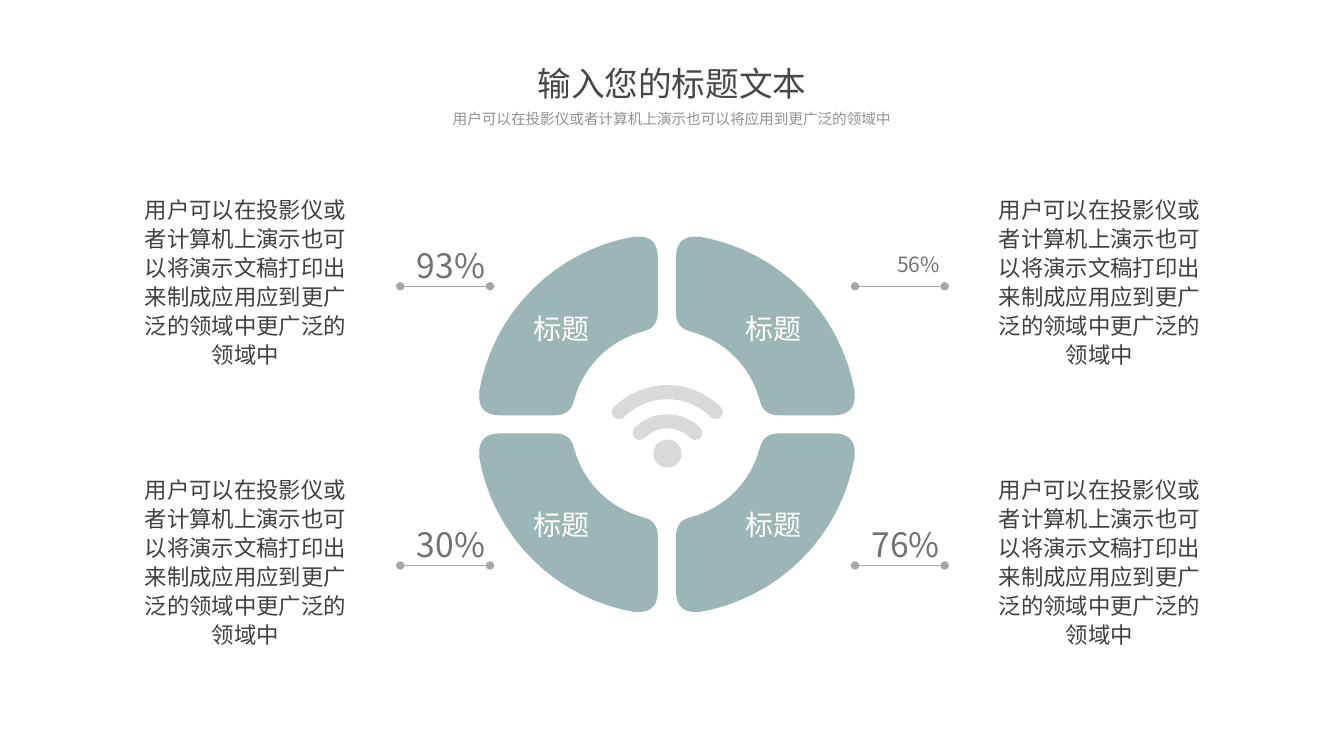
import math
import pptx
import pptx.util
import pptx.dml.color
import pptx.enum.text
import pptx.enum.shapes
import pptx.oxml
import pptx.oxml.ns
from pptx.util import Inches

FONT = "Noto Sans CJK SC"
TEAL, GREY, LINE = "9CB6B7", "D9D9D9", "A6A6A6"
TITLE = "输入您的标题文本"
SUBTITLE = "用户可以在投影仪或者计算机上演示也可以将应用到更广泛的领域中"
BODY = "用户可以在投影仪或者计算机上演示也可以将演示文稿打印出来制成应用应到更广泛的领域中更广泛的领域中"
LABEL = "标题"
ITEMS = [
    (0, 0, "93%", 24),
    (1, 0, "56%", 15),
    (0, 1, "30%", 24),
    (1, 1, "76%", 24),
]
BODY_X, BODY_Y = (1.23, 9.7), (1.88, 4.65)
PERCENT_X, PERCENT_Y = (3.92, 8.43), (2.43, 5.2)
LABEL_X, LABEL_Y = (5.19, 7.29), (3.01, 4.96)
RING_X, RING_Y = 6.615, 4.21
OUTER_R, INNER_R, HALF_GAP = 1.89, 0.95, 0.09
WIFI_X, WIFI_Y, WIFI_HALF = 6.62, 4.57, 0.07
ALIGN = pptx.enum.text.PP_ALIGN
ANCHOR = pptx.enum.text.MSO_ANCHOR


def rgb(value):
    return pptx.dml.color.RGBColor.from_string(value)


def write(sp, text, size, color, align=ALIGN.CENTER, anchor=ANCHOR.TOP,
          wrap=True, spacing=1.08, inset=(0.1, 0.05)):
    tf = sp.text_frame
    tf.word_wrap = wrap
    tf.vertical_anchor = anchor
    tf.margin_left = tf.margin_right = Inches(inset[0])
    tf.margin_top = tf.margin_bottom = Inches(inset[1])
    p = tf.paragraphs[0]
    p.alignment = align
    p.line_spacing = spacing
    r = p.add_run()
    r.text = text
    r.font.name = FONT
    r.font.size = pptx.util.Pt(size)
    r.font.color.rgb = rgb(color)
    ea = pptx.oxml.parse_xml(f'<a:ea {pptx.oxml.ns.nsdecls("a")} typeface="{FONT}"/>')
    r.font._element.find(pptx.oxml.ns.qn("a:latin")).addnext(ea)


def text_box(s, x, y, w, h, text, size, color, **fmt):
    sp = s.shapes.add_textbox(Inches(x), Inches(y), Inches(w), Inches(h))
    write(sp, text, size, color, **fmt)


def arc(cx, cy, radius, start, end, steps=16):
    angles = [math.radians(start + (end - start) * i / steps) for i in range(steps + 1)]
    return [(cx + radius * math.cos(a), cy + radius * math.sin(a)) for a in angles]


def curve(a, b, c, steps=8):
    ts = [i / steps for i in range(steps + 1)]
    return [tuple((1 - t) ** 2 * u + 2 * t * (1 - t) * v + t * t * w
                  for u, v, w in zip(a, b, c)) for t in ts]


def freeform(s, contours, color):
    contours = [[(Inches(x), Inches(y)) for x, y in c] for c in contours]
    fb = s.shapes.build_freeform(*contours[0][0])
    fb.add_line_segments(contours[0][1:], close=True)
    for contour in contours[1:]:
        fb.move_to(*contour[0])
        fb.add_line_segments(contour[1:], close=True)
    sp = fb.convert_to_shape()
    sp.shadow.inherit = False
    sp.fill.solid()
    sp.fill.fore_color.rgb = rgb(color)
    sp.line.fill.background()


def ring_quarter():
    corners = (curve((0.31, 1.86), (0.1, 1.88), (HALF_GAP, 1.67))
               + curve((HALF_GAP, 1.11), (HALF_GAP, 0.95), (0.245, 0.92)))
    mirrored = [(y, x) for x, y in reversed(corners)]
    return (corners + arc(0, 0, INNER_R, 75, 15) + mirrored
            + arc(0, 0, OUTER_R, 9.5, 80.5))


def wifi_band(radius):
    ends = arc(WIFI_X, WIFI_Y, radius, 225, 315)
    return (arc(WIFI_X, WIFI_Y, radius + WIFI_HALF, 225, 315)
            + arc(*ends[-1], WIFI_HALF, -45, 135, 8)
            + arc(WIFI_X, WIFI_Y, radius - WIFI_HALF, 315, 225)
            + arc(*ends[0], WIFI_HALF, 45, 225, 8))


def dotted_line(s, x, y, length):
    c = s.shapes.add_connector(pptx.enum.shapes.MSO_CONNECTOR.STRAIGHT,
                               Inches(x), Inches(y), Inches(x + length), Inches(y))
    c.line.color.rgb = rgb(LINE)
    c.line.width = pptx.util.Pt(1)
    ns = pptx.oxml.ns.nsdecls("a")
    for end in ("headEnd", "tailEnd"):
        c.line._get_or_add_ln().append(pptx.oxml.parse_xml(f'<a:{end} {ns} type="oval"/>'))
    c._element.spPr.append(pptx.oxml.parse_xml(f"<a:effectLst {ns}/>"))


def main():
    prs = pptx.Presentation()
    prs.slide_width, prs.slide_height = Inches(13.33), Inches(7.5)
    s = prs.slides.add_slide(prs.slide_layouts[5])

    title = s.shapes.title
    title.left, title.top = Inches(5.23), Inches(0.57)
    title.width, title.height = Inches(2.87), Inches(0.5)
    write(title, TITLE, 24, "474747", anchor=ANCHOR.MIDDLE, wrap=False, spacing=1.0)
    text_box(s, 2.85, 1.05, 7.63, 0.23, SUBTITLE, 10.5, "929292", inset=(0.05, 0.03))

    quarter = ring_quarter()
    for col, row, percent, size in ITEMS:
        dx, dy = 2 * col - 1, 2 * row - 1
        freeform(s, [[(RING_X + dx * x, RING_Y + dy * y) for x, y in quarter]], TEAL)
        text_box(s, LABEL_X[col], LABEL_Y[row], 0.76, 0.45, LABEL, 20, "FFFFFF", wrap=False)
        x, y = PERCENT_X[col], PERCENT_Y[row]
        dotted_line(s, x + 0.05, y + 0.41, 0.89)
        text_box(s, x, y, 0.99, 0.37, percent, size, "727272",
                 align=ALIGN.RIGHT, anchor=ANCHOR.MIDDLE)
        text_box(s, BODY_X[col], BODY_Y[row], 2.41, 1.83, BODY, 16, "404040")

    dot = arc(WIFI_X, 4.5, 0.14, 0, 360, 24)
    freeform(s, [dot, wifi_band(0.39), wifi_band(0.68)], GREY)
    prs.save("out.pptx")


if __name__ == "__main__":
    main()
